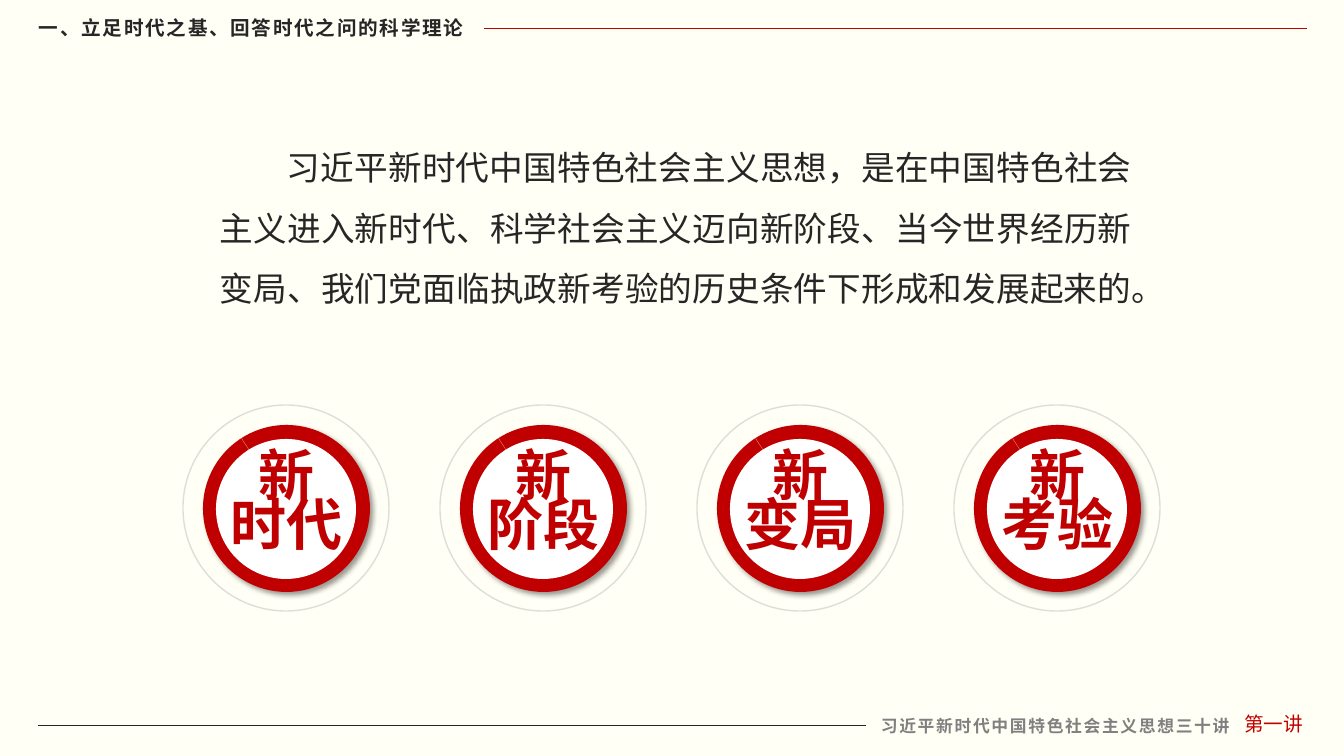
import pptx
import pptx.util
import pptx.dml.color
import pptx.enum.shapes
import pptx.enum.text
import pptx.oxml.ns
from lxml import etree

# Content
HEAD = "一、立足时代之基、回答时代之问的科学理论"
BODY = ("习近平新时代中国特色社会主义思想，是在中国特色社会主义进入新时代、"
        "科学社会主义迈向新阶段、当今世界经历新变局、"
        "我们党面临执政新考验的历史条件下形成和发展起来的。")
BADGES = [("新", "时代"), ("新", "阶段"), ("新", "变局"), ("新", "考验")]
COURSE = "习近平新时代中国特色社会主义思想三十讲"
PART = "第一讲"

FONT = "Noto Sans CJK SC"
COLORS = {"paper": "FFFFF5", "ink": "262626", "red": "C00000", "grey": "808080",
          "white": "FFFFFF", "peach": "F4B183", "ring": "BFBFBF", "shade": "000000"}
STEP = 257  # px from one badge to the next

SHAPE = pptx.enum.shapes.MSO_SHAPE
ALIGN = pptx.enum.text.PP_ALIGN
ANCHOR = pptx.enum.text.MSO_ANCHOR
Pt = pptx.util.Pt
qn = pptx.oxml.ns.qn


def px(n):
    return pptx.util.Emu(round(n * 914400 / 100.8))


def rgb(name):
    return pptx.dml.color.RGBColor.from_string(COLORS[name])


def add_text(shapes, box, lines, size, color, bold=False, align=ALIGN.LEFT,
             anchor=ANCHOR.TOP, wrap=True, gap=None, indent=0, track=0):
    frame = shapes.add_textbox(*map(px, box)).text_frame
    frame.word_wrap = wrap
    frame.auto_size = pptx.enum.text.MSO_AUTO_SIZE.SHAPE_TO_FIT_TEXT
    frame.vertical_anchor = anchor
    frame.text = "\n".join(lines)
    for para in frame.paragraphs:
        para.alignment = align
        if gap:
            para.line_spacing = gap
        if indent:
            para._p.get_or_add_pPr().set("indent", str(px(indent)))
        font = para.font
        font.name, font.size, font.bold = FONT, Pt(size), bold
        font.color.rgb = rgb(color)
        etree.SubElement(font._rPr, qn("a:ea"), typeface=FONT)
        if track:
            font._rPr.set("spc", str(track))


def add_rule(shapes, left, right, y, color):
    rule = shapes.add_connector(pptx.enum.shapes.MSO_CONNECTOR.STRAIGHT,
                                px(left), px(y), px(right), px(y))
    rule.line.color.rgb = rgb(color)
    rule.line.width = Pt(0.5)
    etree.SubElement(rule._element.spPr, qn("a:effectLst"))


def add_disc(shapes, kind, left, top, size, fill=None):
    disc = shapes.add_shape(kind, px(left), px(top), px(size), px(size))
    disc.shadow.inherit = False
    disc.line.fill.background()
    if fill:
        disc.fill.solid()
        disc.fill.fore_color.rgb = rgb(fill)
    else:
        disc.fill.background()
    return disc


def set_alpha(color, part):
    etree.SubElement(color, qn("a:alpha"), val=str(part * 1000))


def add_shadow(shape, part, blur, dist, angle):
    effects = shape._element.spPr.find(qn("a:effectLst"))
    shadow = etree.SubElement(effects, qn("a:outerShdw"), blurRad=str(Pt(blur)),
                              dist=str(Pt(dist)), dir=str(angle * 60000),
                              algn="ctr", rotWithShape="0")
    set_alpha(etree.SubElement(shadow, qn("a:srgbClr"), val=COLORS["shade"]), part)


def add_badge(slide, left, words):
    shapes = slide.shapes.add_group_shape().shapes
    add_shadow(add_disc(shapes, SHAPE.OVAL, left + 20, 425, 167, "red"), 40, 4, 3, 45)
    # Thin slit in the red band
    slit = add_disc(shapes, SHAPE.PIE, left + 21, 425, 166, "peach")
    slit.adjustments[0], slit.adjustments[1] = 87.807, 87.919
    slit.rotation = 90.4
    add_shadow(slit, 23, 3, 3, 0)
    add_disc(shapes, SHAPE.OVAL, left + 33, 439, 140, "white")
    ring = add_disc(shapes, SHAPE.OVAL, left, 405, 206)
    ring.line.color.rgb = rgb("ring")
    ring.line.width = Pt(1)
    set_alpha(ring._element.spPr.find(qn("a:ln")).find(".//" + qn("a:srgbClr")), 50)
    add_text(shapes, (left + 32, 454, 143, 109), words, 40, "red", bold=True,
             align=ALIGN.CENTER, gap=Pt(35))


def main():
    deck = pptx.Presentation()
    deck.slide_width, deck.slide_height = px(1344), px(756)
    slide = deck.slides.add_slide(deck.slide_layouts[6])
    slide.background.fill.solid()
    slide.background.fill.fore_color.rgb = rgb("paper")
    shapes = slide.shapes

    # Header
    add_text(shapes, (29, 11, 455, 34), [HEAD], 14, "ink", bold=True,
             anchor=ANCHOR.MIDDLE, track=120)
    add_rule(shapes, 484, 1307, 28, "red")

    # Footer
    add_text(shapes, (871, 711, 374, 30), [COURSE], 12, "grey", bold=True,
             wrap=False, track=120)
    add_text(shapes, (1218, 707, 111, 34), [PART], 14, "red",
             align=ALIGN.CENTER, anchor=ANCHOR.MIDDLE)
    add_rule(shapes, 38, 866, 725, "ink")

    # Body and badges
    add_text(shapes, (210, 122, 932, 194), [BODY], 24, "ink",
             align=ALIGN.JUSTIFY, gap=1.5, indent=67)
    for i, words in enumerate(BADGES):
        add_badge(slide, 183 + i * STEP, words)

    deck.save("out.pptx")


if __name__ == "__main__":
    main()
